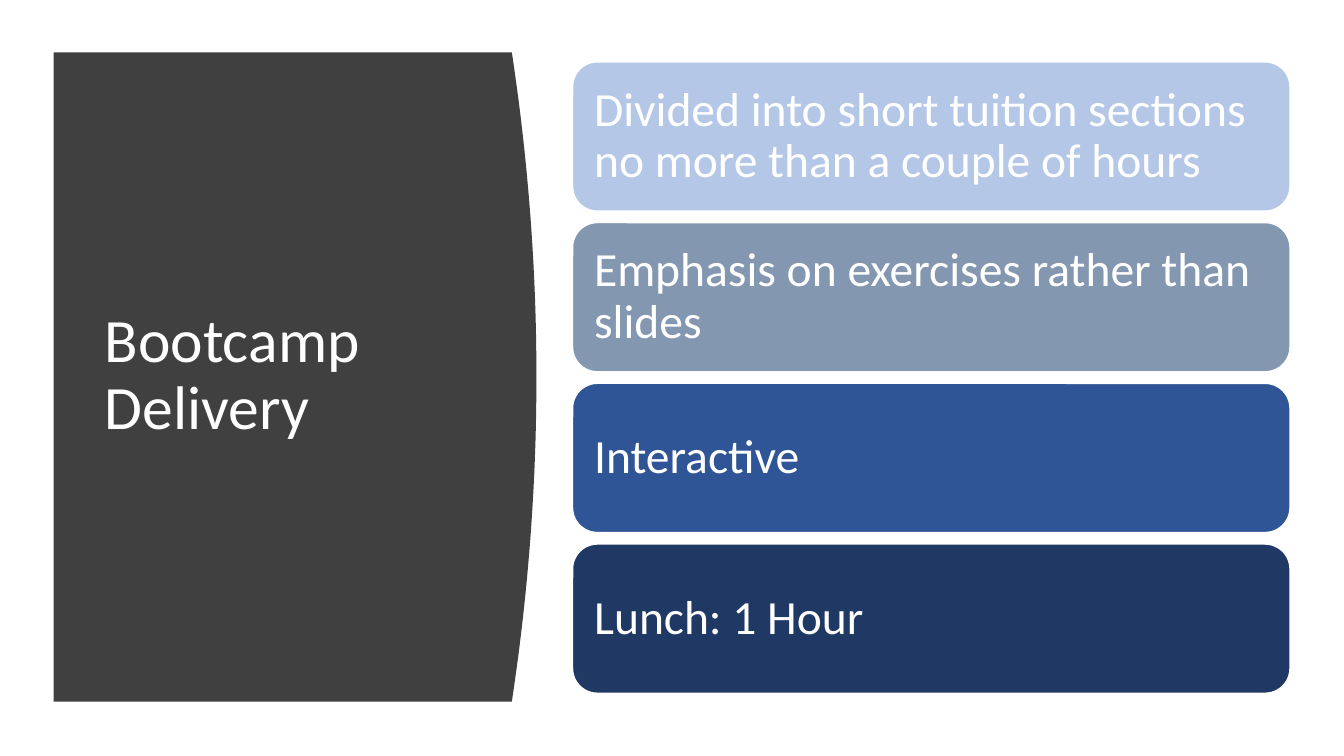
from pptx import Presentation
from pptx.dml.color import RGBColor
from pptx.enum.shapes import MSO_SHAPE as SHAPE
from pptx.enum.text import MSO_ANCHOR as ANCHOR, PP_ALIGN as ALIGN
from pptx.util import Cm, Pt

WHITE = RGBColor(0xFF, 0xFF, 0xFF)
CHARCOAL = RGBColor(0x40, 0x40, 0x40)
PALE_BLUE = RGBColor(0xB4, 0xC7, 0xE7)
SLATE = RGBColor(0x84, 0x97, 0xB0)
BLUE = RGBColor(0x2F, 0x55, 0x97)
NAVY = RGBColor(0x20, 0x38, 0x64)

TITLE = "Bootcamp\nDelivery"
POINTS = [
    ("Divided into short tuition sections no more than a couple of hours", PALE_BLUE),
    ("Emphasis on exercises rather than slides", SLATE),
    ("Interactive", BLUE),
    ("Lunch: 1 Hour", NAVY),
]

PANEL_LEFT, PANEL_TOP, PANEL_EDGE, PANEL_HEIGHT = 1.35, 1.32, 12.9, 16.36
BULGE, CURVE_STEPS = 0.62, 40
BAR_LEFT, BAR_TOP, BAR_WIDTH, BAR_HEIGHT, BAR_PITCH = 14.43, 1.56, 18.08, 3.76, 4.05


def write(sp, text, size, inset_x, inset_y):
    tf = sp.text_frame
    tf.word_wrap = True
    tf.vertical_anchor = ANCHOR.MIDDLE
    tf.margin_left = tf.margin_right = Cm(inset_x)
    tf.margin_top = tf.margin_bottom = Cm(inset_y)
    p = tf.paragraphs[0]
    p.text = text
    p.alignment = ALIGN.LEFT
    p.line_spacing = 0.9
    for r in p.runs:
        r.font.name = "Calibri"
        r.font.size = Pt(size)
        r.font.color.rgb = WHITE


def curve_point(step):
    t = step / CURVE_STEPS
    x = PANEL_EDGE + BULGE * 4 * t * (1 - t)
    return Cm(x), Cm(PANEL_TOP + PANEL_HEIGHT * t)


def add_panel(shapes):
    builder = shapes.build_freeform(Cm(PANEL_LEFT), Cm(PANEL_TOP))
    curve = [curve_point(step) for step in range(CURVE_STEPS + 1)]
    corner = (Cm(PANEL_LEFT), Cm(PANEL_TOP + PANEL_HEIGHT))
    builder.add_line_segments(curve + [corner], close=True)
    sp = builder.convert_to_shape()
    sp.shadow.inherit = False
    sp.fill.solid()
    sp.fill.fore_color.rgb = CHARCOAL
    sp.line.fill.background()


def add_bar(shapes, row, text, color):
    sp = shapes.add_shape(SHAPE.ROUNDED_RECTANGLE, Cm(BAR_LEFT), Cm(BAR_TOP + row * BAR_PITCH),
                          Cm(BAR_WIDTH), Cm(BAR_HEIGHT))
    sp.shadow.inherit = False
    sp.fill.solid()
    sp.fill.fore_color.rgb = color
    sp.line.color.rgb = WHITE
    sp.line.width = Pt(1)
    write(sp, text, size=34, inset_x=0.36, inset_y=0.36)


def main():
    prs = Presentation()
    prs.slide_width, prs.slide_height = Cm(33.87), Cm(19.05)
    shapes = prs.slides.add_slide(prs.slide_layouts[6]).shapes
    add_panel(shapes)
    title = shapes.add_textbox(Cm(2.39), Cm(2.82), Cm(9.5), Cm(13.31))
    write(title, TITLE, size=44, inset_x=0.25, inset_y=0.13)
    for row, (text, color) in enumerate(POINTS):
        add_bar(shapes, row, text, color)
    prs.save("out.pptx")


if __name__ == "__main__":
    main()
